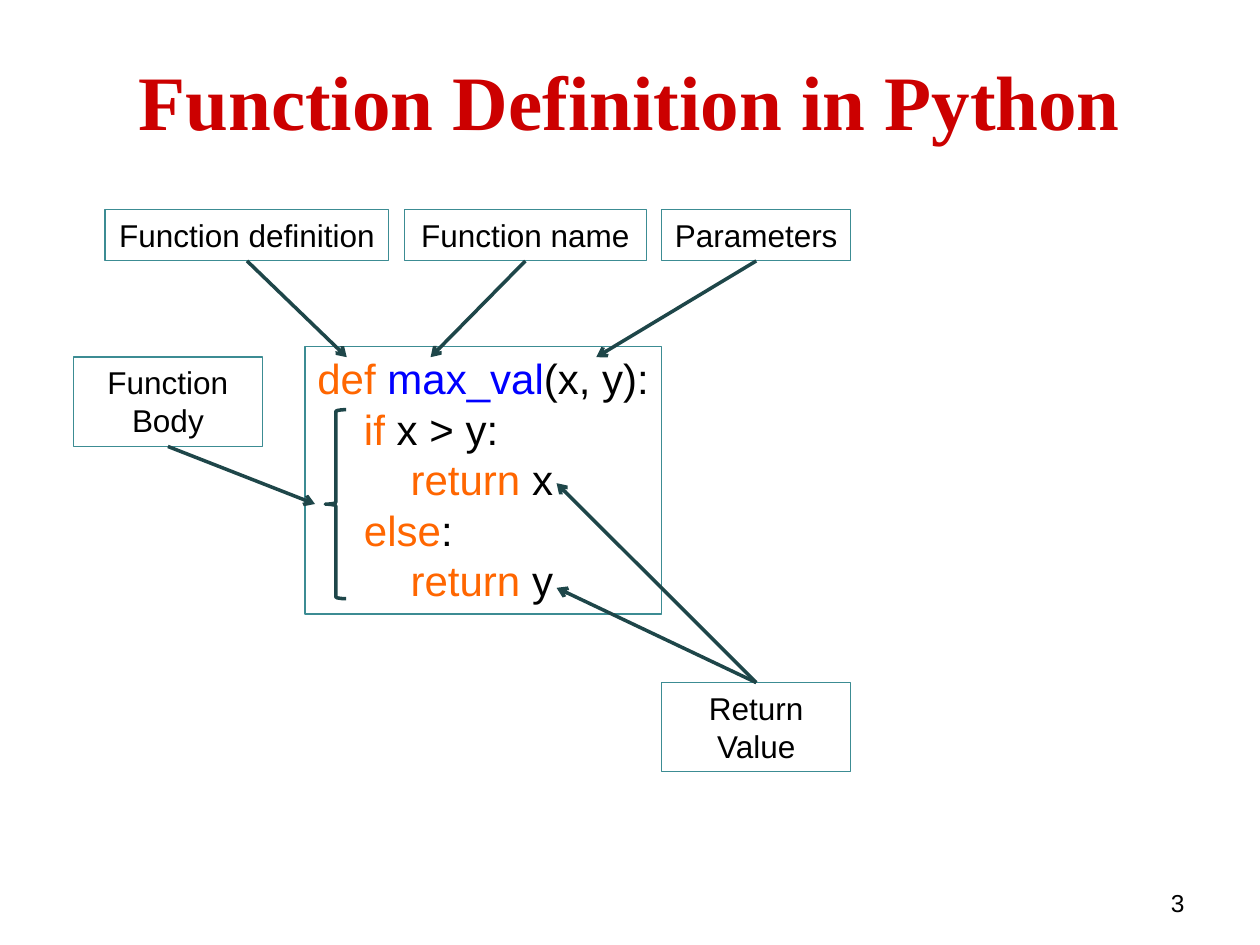
"""Build a slide that labels the parts of a Python function definition."""
from lxml import etree
from pptx import Presentation
from pptx import util as u
from pptx.dml.color import RGBColor
from pptx.enum import shapes, text
from pptx.oxml.ns import qn

RED = RGBColor(0xCC, 0x00, 0x00)
ORANGE = RGBColor(0xFF, 0x66, 0x00)
BLUE = RGBColor(0x00, 0x00, 0xFF)
BLACK = RGBColor(0x00, 0x00, 0x00)
TEAL = RGBColor(0x3C, 0x8C, 0x93)
DARK_TEAL = RGBColor(0x1E, 0x46, 0x49)

TITLE = "Function Definition in Python"
PAGE_NUMBER = "3"
CODE = [
    [("def ", ORANGE), ("max_val", BLUE), ("(x, y):", BLACK)],
    [("    if", ORANGE), (" x > y:", BLACK)],
    [("        return", ORANGE), (" x", BLACK)],
    [("    else", ORANGE), (":", BLACK)],
    [("        return", ORANGE), (" y", BLACK)],
]
TOP, BOTTOM = 0, 2
ONE_LINE, TWO_LINES = 1.03, 1.8
LABELS = [
    ("Function definition", (2.12, 4.23, 5.72, ONE_LINE), BOTTOM, [(6.99, 7.2)]),
    ("Function name", (8.15, 4.23, 4.88, ONE_LINE), BOTTOM, [(8.68, 7.2)]),
    ("Parameters", (13.34, 4.23, 3.81, ONE_LINE), BOTTOM, [(12.02, 7.2)]),
    ("Function Body", (1.48, 7.2, 3.81, TWO_LINES), BOTTOM, [(6.35, 10.16)]),
    ("Return Value", (13.34, 13.76, 3.81, TWO_LINES), TOP, [(11.22, 11.85), (11.22, 9.74)]),
]
TITLE_AREA = (1.27, 0.42, 22.86, 3.18)
CODE_AREA = (6.15, 6.99, 7.19, 5.39)
BRACE_AREA = (6.56, 8.26, 0.42, 3.81)
NUMBER_AREA = (18.2, 17.78, 5.93, 0.64)

TITLE_FONT = {"name": "Times New Roman", "size": u.Pt(44), "bold": True}
CODE_FONT = {"name": "Arial", "size": u.Pt(24)}
LABEL_FONT = {"name": "Arial", "size": u.Pt(18)}
NUMBER_FONT = {"name": "Arial", "size": u.Pt(14)}


def cm(values):
    return [u.Cm(value) for value in values]


def set_attributes(target, values):
    for key, value in values.items():
        setattr(target, key, value)


def write(frame, lines, font, align, **frame_format):
    set_attributes(frame, frame_format)
    for index, line in enumerate(lines):
        paragraph = frame.add_paragraph() if index else frame.paragraphs[0]
        paragraph.alignment = align
        for words, color in line:
            run = paragraph.add_run()
            run.text = words
            set_attributes(run.font, font)
            run.font.color.rgb = color


def add_outline(slide, kind, area, color, width):
    outline = slide.shapes.add_shape(kind, *cm(area))
    outline.shadow.inherit = False
    outline.fill.background()
    outline.line.color.rgb = color
    outline.line.width = u.Pt(width)
    return outline


def add_box(slide, area, lines, font, align, wrap):
    box = add_outline(slide, shapes.MSO_SHAPE.RECTANGLE, area, TEAL, 0.75)
    write(box.text_frame, lines, font, align, word_wrap=wrap,
          vertical_anchor=text.MSO_ANCHOR.TOP,
          auto_size=text.MSO_AUTO_SIZE.SHAPE_TO_FIT_TEXT)
    return box


def add_arrow(slide, label, side, target):
    end = cm(target)
    arrow = slide.shapes.add_connector(shapes.MSO_CONNECTOR.STRAIGHT, *end, *end)
    arrow.begin_connect(label, side)
    arrow.line.color.rgb = DARK_TEAL
    arrow.line.width = u.Pt(2)
    etree.SubElement(arrow.line._get_or_add_ln(), qn("a:tailEnd"), type="arrow")
    etree.SubElement(arrow._element.spPr, qn("a:effectLst"))


def main():
    deck = Presentation()
    deck.slide_width, deck.slide_height = cm((25.4, 19.05))
    slide = deck.slides.add_slide(deck.slide_layouts[5])

    title = slide.shapes.title
    set_attributes(title, dict(zip(("left", "top", "width", "height"), cm(TITLE_AREA))))
    write(title.text_frame, [[(TITLE, RED)]], TITLE_FONT, text.PP_ALIGN.CENTER,
          vertical_anchor=text.MSO_ANCHOR.MIDDLE)

    number = slide.shapes.add_textbox(*cm(NUMBER_AREA))
    write(number.text_frame, [[(PAGE_NUMBER, BLACK)]], NUMBER_FONT,
          text.PP_ALIGN.RIGHT, word_wrap=True)

    add_box(slide, CODE_AREA, CODE, CODE_FONT, text.PP_ALIGN.LEFT, False)
    for words, area, side, targets in LABELS:
        label = add_box(slide, area, [[(words, BLACK)]], LABEL_FONT,
                        text.PP_ALIGN.CENTER, True)
        for target in targets:
            add_arrow(slide, label, side, target)
    add_outline(slide, shapes.MSO_SHAPE.LEFT_BRACE, BRACE_AREA, DARK_TEAL, 2)

    deck.save("out.pptx")


if __name__ == "__main__":
    main()
